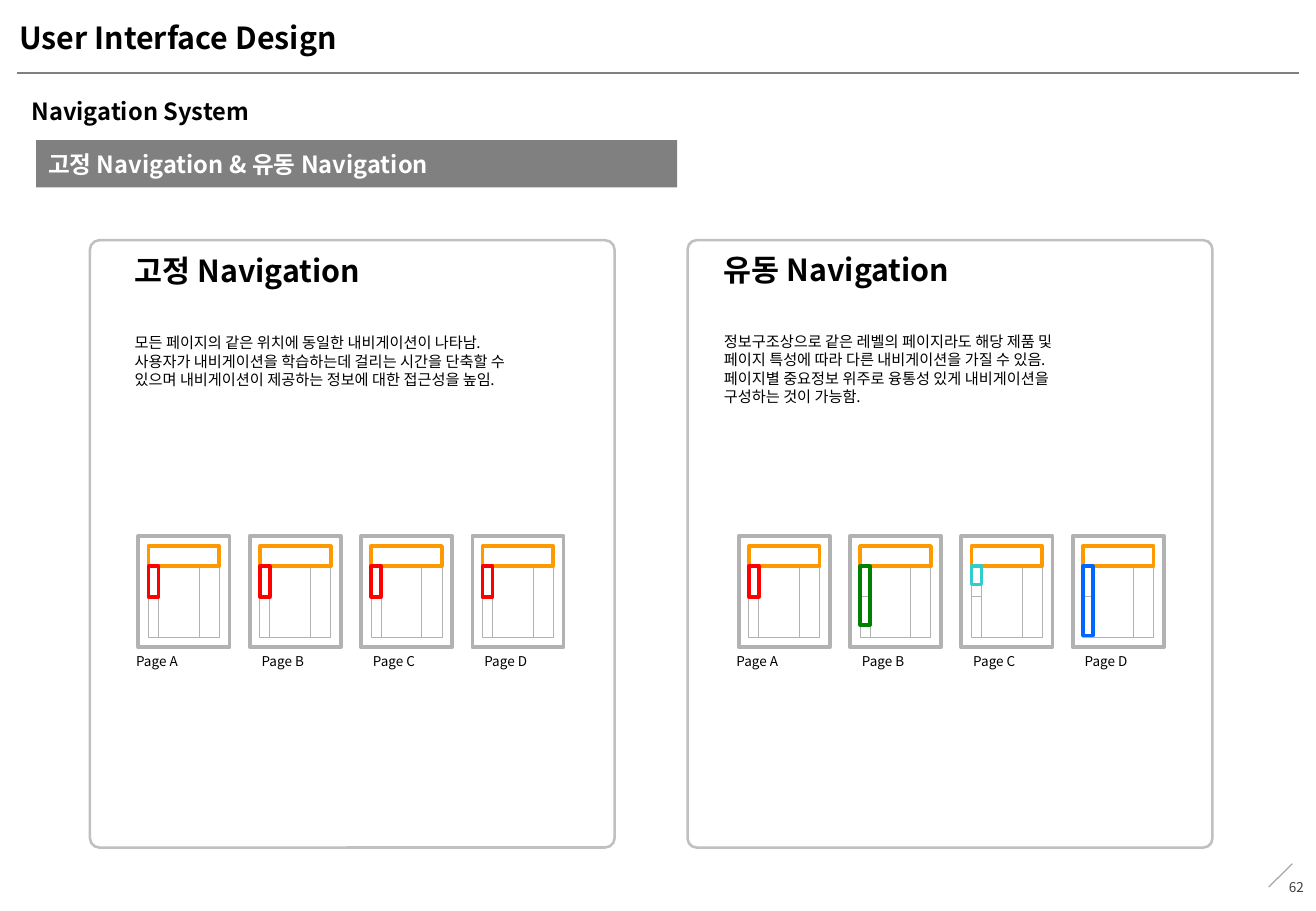
from dataclasses import dataclass

from lxml.etree import SubElement
from pptx import Presentation
from pptx.dml.color import RGBColor
from pptx.enum.shapes import MSO_CONNECTOR as Connector, MSO_SHAPE as Shape
from pptx.enum.text import MSO_ANCHOR as Anchor, PP_ALIGN as Align
from pptx.oxml.ns import qn
from pptx.util import Pt


@dataclass(frozen=True)
class Theme:
    font: str = "Noto Sans CJK KR"
    black: str = "000000"
    white: str = "FFFFFF"
    banner: str = "808080"
    slash: str = "A6A6A6"
    number: str = "404040"
    panel: str = "C0C0C0"
    wire: str = "B2B2B2"
    orange: str = "FF9900"
    red: str = "FF0000"
    green: str = "008000"
    cyan: str = "33CCCC"
    blue: str = "0066FF"
    title_size: float = 18
    subtitle_size: float = 14
    body_size: float = 9
    small_size: float = 8


THEME = Theme()
FRAME_SIZE = (54, 66)
HEADER = (6, 6, 42, 12)
COLUMNS = ((6, 18, 6, 21), (12, 18, 24, 42), (6, 36, 6, 24), (36, 18, 12, 42))
PAGE_STEP = 66
FRAME_TOP = 317.7
BODY_GAP = 26.5

FIXED = {
    "panel": (53.3, 142.4, 311, 360),
    "adjust": 0.018,
    "text": (72.7, 146.2, 246.3, 88),
    "heading": "고정 Navigation",
    "body": "모든 페이지의 같은 위치에 동일한 내비게이션이 나타남.\v"
            "사용자가 내비게이션을 학습하는데 걸리는 시간을 단축할 수 "
            "있으며 내비게이션이 제공하는 정보에 대한 접근성을 높임.",
    "frames_left": 82,
    "menus": [(THEME.red, 18)] * 4,
}
FLEXIBLE = {
    "panel": (407.6, 142.4, 311, 360),
    "adjust": 0.017,
    "text": (422, 145.4, 228.2, 102),
    "heading": "유동 Navigation",
    "body": "정보구조상으로 같은 레벨의 페이지라도 해당 제품 및 "
            "페이지 특성에 따라 다른 내비게이션을 가질 수 있음. "
            "페이지별 중요정보 위주로 융통성 있게 내비게이션을 "
            "구성하는 것이 가능함.",
    "frames_left": 437.8,
    "menus": [(THEME.red, 18), (THEME.green, 34.6),
              (THEME.cyan, 10.8), (THEME.blue, 41)],
}


def apply(target, values):
    for name, value in values.items():
        setattr(target, name, value)


def points(values):
    return [Pt(value) for value in values]


def shift(area, left, top):
    return area[0] + left, area[1] + top, area[2], area[3]


def write(para, text, size, color=THEME.black, bold=False, **layout):
    para.text = text
    apply(para, layout)
    for span in para.runs:
        apply(span.font, {"name": THEME.font, "size": Pt(size), "bold": bold})
        span.font.color.rgb = RGBColor.from_string(color)
        east_asian = SubElement(span._r.get_or_add_rPr(), qn("a:ea"))
        east_asian.set("typeface", THEME.font)


def add_text(page, area, text, size, wrap=True, anchor=Anchor.TOP, **style):
    box = page.shapes.add_textbox(*points(area))
    apply(box.text_frame, {"word_wrap": wrap, "vertical_anchor": anchor})
    write(box.text_frame.paragraphs[0], text, size, **style)
    return box


def add_outline(shapes, area, line=None, width=0.5, fill=None, kind=Shape.RECTANGLE):
    box = shapes.add_shape(kind, *points(area))
    box.shadow.inherit = False
    if fill:
        box.fill.solid()
        box.fill.fore_color.rgb = RGBColor.from_string(fill)
    else:
        box.fill.background()
    if line:
        box.line.color.rgb = RGBColor.from_string(line)
        box.line.width = Pt(width)
    else:
        box.line.fill.background()
    return box


def add_line(page, ends, color):
    line = page.shapes.add_connector(Connector.STRAIGHT, *points(ends))
    line.line.color.rgb = RGBColor.from_string(color)
    line.line.width = Pt(0.75)
    SubElement(line._element.spPr, qn("a:effectLst"))


def add_title(page, text):
    title = page.shapes.title
    apply(title, dict(zip(("left", "top", "width", "height"),
                          points((11.5, 7.2, 582.5, 30.2)))))
    frame = title.text_frame
    apply(frame, {"margin_left": 0, "margin_right": 0, "margin_top": Pt(4.3),
                  "margin_bottom": Pt(4.3), "word_wrap": True,
                  "vertical_anchor": Anchor.TOP})
    write(frame.paragraphs[0], text, THEME.title_size, bold=True,
          alignment=Align.LEFT, space_before=Pt(0))


def add_banner(page, text):
    banner = add_outline(page.shapes, (21.4, 83, 380, 28.1), fill=THEME.banner)
    banner.text_frame.vertical_anchor = Anchor.MIDDLE
    write(banner.text_frame.paragraphs[0], text, THEME.subtitle_size,
          color=THEME.white, bold=True, alignment=Align.LEFT)


def add_wireframe(page, left, top, menu_color, menu_height):
    group = page.shapes.add_group_shape()
    add_outline(group.shapes, (left, top, *FRAME_SIZE), THEME.wire, 2.25, THEME.white)
    for area in (HEADER, *COLUMNS):
        add_outline(group.shapes, shift(area, left, top), THEME.wire, fill=THEME.white)
    menu = (6, 18, 6, menu_height)
    for area, color in ((HEADER, THEME.orange), (menu, menu_color)):
        add_outline(page.shapes, shift(area, left, top), color, 2.25)


def add_panel(page, content):
    panel = add_outline(page.shapes, content["panel"], THEME.panel, 1.5,
                        kind=Shape.ROUNDED_RECTANGLE)
    panel.adjustments[0] = content["adjust"]
    box = add_text(page, content["text"], content["heading"],
                   THEME.title_size, bold=True)
    write(box.text_frame.add_paragraph(), content["body"], THEME.body_size,
          space_before=Pt(BODY_GAP))
    for index, (color, height) in enumerate(content["menus"]):
        left = content["frames_left"] + index * PAGE_STEP
        add_wireframe(page, left, FRAME_TOP, color, height)
        label_left = left if index else left - 8.4
        add_text(page, (label_left, 383.8, 41, 16.6), f"Page {'ABCD'[index]}",
                 THEME.small_size, wrap=False)


def main():
    deck = Presentation()
    apply(deck, {"slide_width": Pt(780), "slide_height": Pt(540)})
    page = deck.slides.add_slide(deck.slide_layouts[5])
    add_line(page, (10, 43.2, 770, 43.2), THEME.banner)
    add_line(page, (766, 512, 752, 525.8), THEME.slash)
    add_text(page, (736, 511.2, 44, 28.8), "62", THEME.small_size,
             anchor=Anchor.MIDDLE, color=THEME.number, alignment=Align.RIGHT)
    add_title(page, "User Interface Design")
    add_text(page, (11.5, 54, 759, 24.5), "Navigation System",
             THEME.subtitle_size, bold=True)
    add_banner(page, "고정 Navigation & 유동 Navigation")
    for content in (FIXED, FLEXIBLE):
        add_panel(page, content)
    deck.save("out.pptx")


if __name__ == "__main__":
    main()
